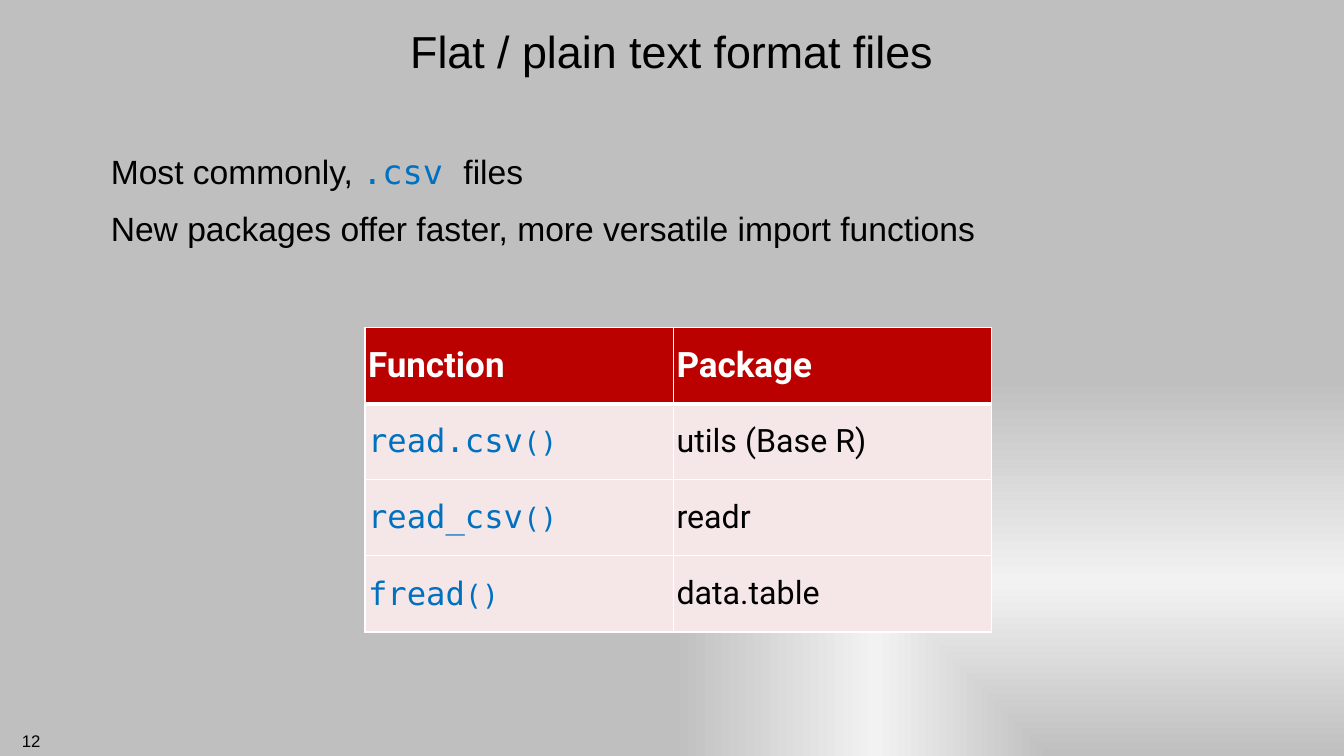
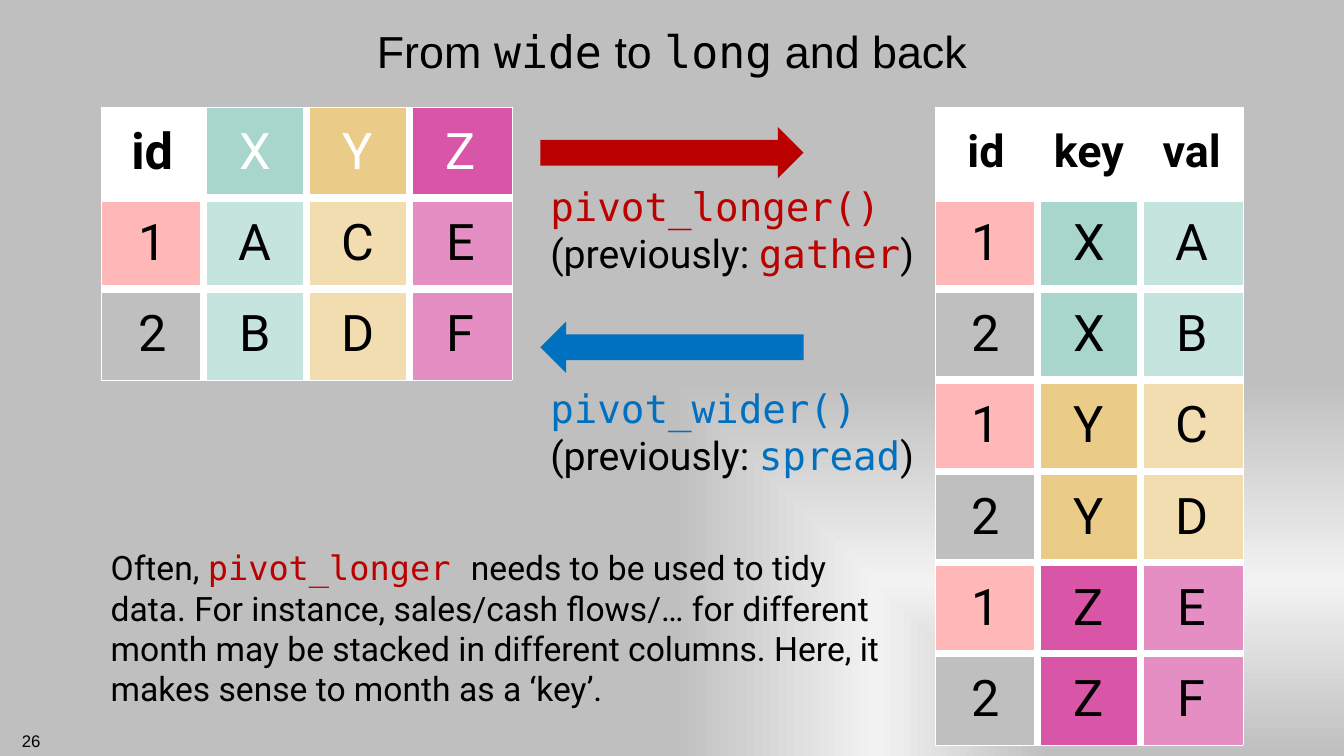
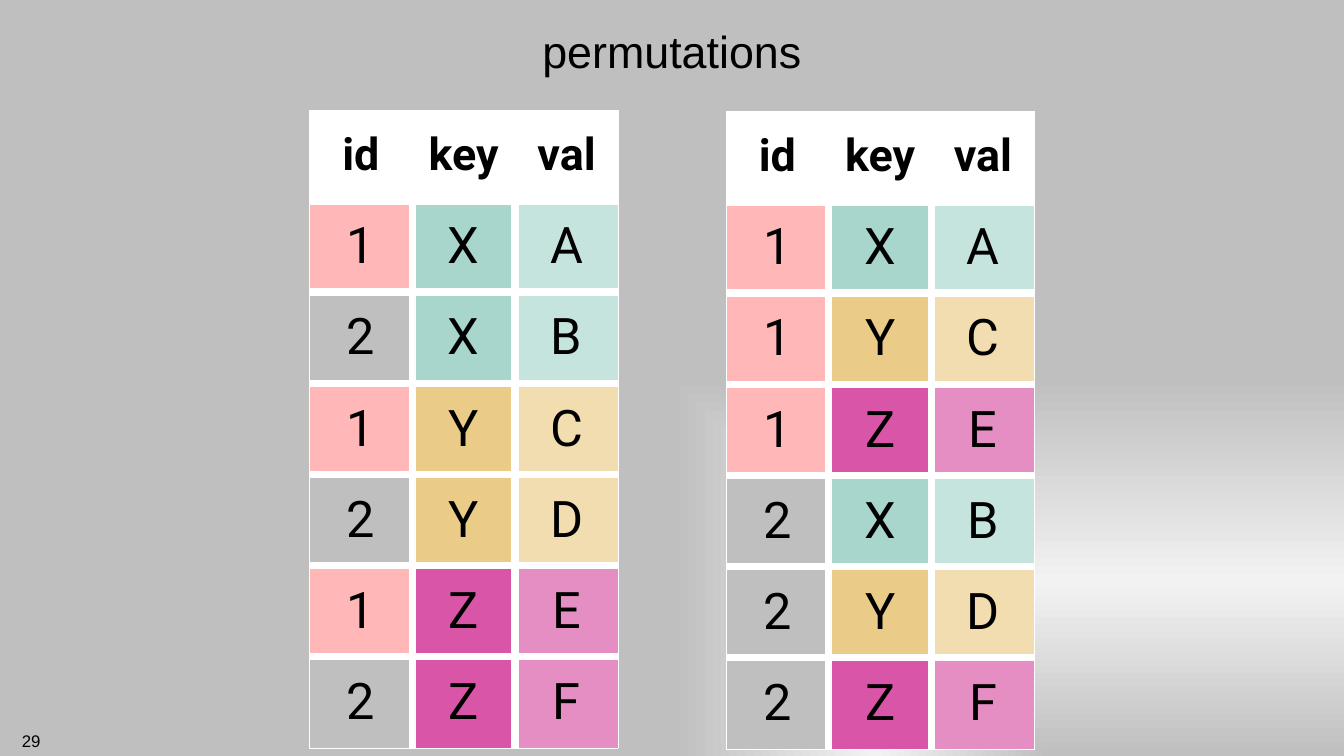
"""Build three slides on reading flat files and pivoting tables in R."""
from pptx import Presentation
from pptx import util as u
from pptx.dml import color
from pptx.enum import shapes, text
from pptx.oxml import parse_xml
from pptx.oxml.ns import nsdecls, qn

Inches = u.Inches
SANS, MONO, TABLE_FONT = "Arial", "DejaVu Sans Mono", "Roboto"
BLACK, WHITE, RED, BLUE, GREY = "000000", "FFFFFF", "BB0000", "0070C0", "BFBFBF"
PALE_RED = "F5E7E7"
GRADIENT = [(0, GREY), (46, "F2F2F2"), (100, GREY)]
CENTER, RIGHT = text.PP_ALIGN.CENTER, text.PP_ALIGN.RIGHT
MIDDLE = text.MSO_ANCHOR.MIDDLE

CODE = {"font": MONO}
BLUE_CODE = {"font": MONO, "ink": BLUE}
RED_CODE = {"font": MONO, "ink": RED}

FLAT_TITLE = ["Flat / plain text format files"]
FLAT_BODY = [
    ["Most commonly, ", (".csv ", BLUE_CODE), "files"],
    ["New packages offer faster, more versatile import functions"],
]
READERS = [("read.csv", "utils (Base R)"), ("read_csv", "readr"), ("fread", "data.table")]

PIVOT_TITLE = ["From ", ("wide", CODE), " to ", ("long", CODE), " and back"]
PIVOTS = [
    ("pivot_longer()", "gather", RED, shapes.MSO_SHAPE.RIGHT_ARROW, 1.26, 1.76),
    ("pivot_wider()", "spread", BLUE, shapes.MSO_SHAPE.LEFT_ARROW, 3.19, 3.76),
]
PIVOT_NOTE = [
    "Often, ", ("pivot_longer ", RED_CODE),
    "needs to be used to tidy data. For instance, sales/cash flows/… for different month "
    "may be stacked in different columns. Here, it makes sense to month as a ‘key’.",
]
WIDE = ["id X Y Z", "1 A C E", "2 B D F"]
LONG_HEAD = "id key val"
LONG_BY_KEY = [LONG_HEAD, "1 X A", "2 X B", "1 Y C", "2 Y D", "1 Z E", "2 Z F"]
LONG_BY_ID = [LONG_HEAD] + sorted(LONG_BY_KEY[1:])
CELL_FILLS = {
    "1": "FFB7B7", "2": GREY,
    "X": "A8D6CD", "A": "C5E4DD", "B": "C5E4DD",
    "Y": "EACC88", "C": "F1DDAF", "D": "F1DDAF",
    "Z": "D955A7", "E": "E58EC4", "F": "E58EC4",
}
CELL_SIDE, CELL_HEIGHT = 1.02, 0.904


def rgb(value):
    """Return the colour of a hex string."""
    return color.RGBColor.from_string(value)


def write(frame, paragraphs, size=24, font=SANS, ink=BLACK, bold=False,
          align=None, before=0, indent=0, anchor=None, inset=None):
    """Fill a text frame with paragraphs made of plain or styled runs."""
    frame.word_wrap = True
    if anchor is not None:
        frame.vertical_anchor = anchor
    if inset is not None:
        frame.margin_left = frame.margin_right = Inches(inset)
        frame.margin_top = frame.margin_bottom = Inches(inset)
    for index, runs in enumerate(paragraphs):
        paragraph = frame.add_paragraph() if index else frame.paragraphs[0]
        if align is not None:
            paragraph.alignment = align
        if indent:
            properties = paragraph._p.get_or_add_pPr()
            properties.set("marL", str(Inches(indent)))
            properties.set("indent", "0")
        paragraph.space_before = u.Pt(before if index else 0)
        for item in runs:
            words, style = (item, {}) if isinstance(item, str) else item
            run = paragraph.add_run()
            run.text = words
            run.font.size = u.Pt(style.get("size", size))
            run.font.name = style.get("font", font)
            run.font.bold = bold
            run.font.color.rgb = rgb(style.get("ink", ink))


def add_text(slide, box, paragraphs, **style):
    """Add a text box at left, top, width, height."""
    shape = slide.shapes.add_textbox(*map(Inches, box))
    write(shape.text_frame, paragraphs, **style)


def set_background(master):
    """Give the master the shared corner gradient."""
    master.background.fill.gradient()
    stops = "".join(f'<a:gs pos="{place * 1000}"><a:srgbClr val="{value}"/></a:gs>'
                    for place, value in GRADIENT)
    gradient = parse_xml(
        f'<a:gradFill {nsdecls("a")} rotWithShape="1"><a:gsLst>{stops}</a:gsLst>'
        '<a:path path="rect"><a:fillToRect l="100000" t="100000"/></a:path></a:gradFill>')
    current = next(master.element.iter(qn("a:gradFill")))
    current.getparent().replace(current, gradient)


def add_slide(presentation, title_runs, number):
    """Add a slide with the shared title style and page number."""
    slide = presentation.slides.add_slide(presentation.slide_layouts[5])
    title = slide.shapes.title
    title.left, title.top, title.width, title.height = map(Inches, (1, 0, 11.33, 1))
    title.text_frame.auto_size = text.MSO_AUTO_SIZE.NONE
    write(title.text_frame, [title_runs], size=32, align=CENTER, anchor=MIDDLE, inset=0.1)
    add_text(slide, (0, 7.2, 0.5, 0.3), [[str(number)]], size=12, align=RIGHT)
    return slide


def set_borders(cell, widths):
    """Draw white borders of the given left, right, top and bottom widths."""
    properties = cell._tc.get_or_add_tcPr()
    for side, width in zip("LRTB", widths):
        properties.append(parse_xml(
            f'<a:ln{side} {nsdecls("a")} w="{u.Pt(width)}"><a:solidFill>'
            f'<a:srgbClr val="{WHITE}"/></a:solidFill></a:ln{side}>'))


def add_grid(slide, left, top, widths, row_height, rows, outer, inner, under_head):
    """Add a table of (runs, fill, style) cells with ruled borders."""
    last_row, last_column = len(rows) - 1, len(widths) - 1
    box = (left, top, sum(widths), row_height * len(rows))
    table = slide.shapes.add_table(len(rows), len(widths), *map(Inches, box)).table
    table.first_row = table.horz_banding = False
    for column, width in zip(table.columns, widths):
        column.width = Inches(width)
    for r, row in enumerate(rows):
        table.rows[r].height = Inches(row_height)
        for c, (runs, fill, style) in enumerate(row):
            cell = table.cell(r, c)
            set_borders(cell, (
                inner if c else outer,
                inner if c < last_column else outer,
                outer if r == 0 else under_head if r == 1 else inner,
                outer if r == last_row else under_head if r == 0 else inner))
            cell.fill.solid()
            cell.fill.fore_color.rgb = rgb(fill)
            cell.vertical_anchor = MIDDLE
            if "inset" in style:
                cell.margin_left = cell.margin_right = Inches(style["inset"])
                cell.margin_top = cell.margin_bottom = Inches(style["inset"])
            look = {key: value for key, value in style.items() if key != "inset"}
            write(cell.text_frame, [runs], font=TABLE_FONT, **look)


def add_letter_grid(slide, left, top, lines, head_size):
    """Add a table of coloured letters, one line of words a row."""
    rows = []
    for r, line in enumerate(lines):
        row = []
        for word in line.split():
            named = word not in CELL_FILLS
            style = {"size": 36 if r else head_size, "bold": named, "align": CENTER,
                     "ink": BLACK if r or named else WHITE}
            row.append(([word], CELL_FILLS.get(word, WHITE), style))
        rows.append(row)
    widths = [CELL_SIDE] * len(rows[0])
    add_grid(slide, left, top, widths, CELL_HEIGHT, rows, 0.25, 6, 6)


def build_flat_files(presentation):
    """Build the slide on flat files."""
    slide = add_slide(presentation, FLAT_TITLE, 12)
    add_text(slide, (0.86, 1.4, 11.79, 1.4), FLAT_BODY, before=12, indent=0.14, inset=0.1)
    head = {"size": 25, "ink": WHITE, "bold": True, "inset": 0.03}
    body = {"size": 23, "inset": 0.03}
    rows = [[([name], RED, head) for name in ("Function", "Package")]]
    for function, package in READERS:
        call = [(function, BLUE_CODE), ("()", {**BLUE_CODE, "size": 20})]
        rows.append([(call, PALE_RED, body), ([package], PALE_RED, body)])
    add_grid(slide, 3.62, 3.25, (3.06, 3.15), 3.02 / len(rows), rows, 1, 1, 3)


def build_pivots(presentation):
    """Build the slide on wide and long tables."""
    slide = add_slide(presentation, PIVOT_TITLE, 26)
    add_letter_grid(slide, 1, 1.06, WIDE, 36)
    add_letter_grid(slide, 9.27, 1.06, LONG_BY_KEY, 32)
    for call, former, ink, arrow_kind, arrow_top, label_top in PIVOTS:
        arrow = slide.shapes.add_shape(
            arrow_kind, *map(Inches, (5.36, arrow_top, 2.61, 0.51)))
        arrow.shadow.inherit = False
        arrow.fill.solid()
        arrow.fill.fore_color.rgb = rgb(ink)
        arrow.line.fill.background()
        code = {"font": MONO, "ink": ink}
        label = [[(call, code)], ["(previously: ", (former, code), ")"]]
        add_text(slide, (5.36, label_top, 3.87, 1.04), label, size=28, font=TABLE_FONT)
    add_text(slide, (1, 5.38, 7.9, 1.72), [PIVOT_NOTE], font=TABLE_FONT)


def build_permutations(presentation):
    """Build the slide with two orders of the long table."""
    slide = add_slide(presentation, ["permutations"], 29)
    add_letter_grid(slide, 7.2, 1.1, LONG_BY_ID, 32)
    add_letter_grid(slide, 3.07, 1.09, LONG_BY_KEY, 32)


def main():
    """Build and save the presentation."""
    presentation = Presentation()
    presentation.slide_width, presentation.slide_height = Inches(13.33), Inches(7.5)
    set_background(presentation.slide_master)
    build_flat_files(presentation)
    build_pivots(presentation)
    build_permutations(presentation)
    presentation.save("out.pptx")


if __name__ == "__main__":
    main()
